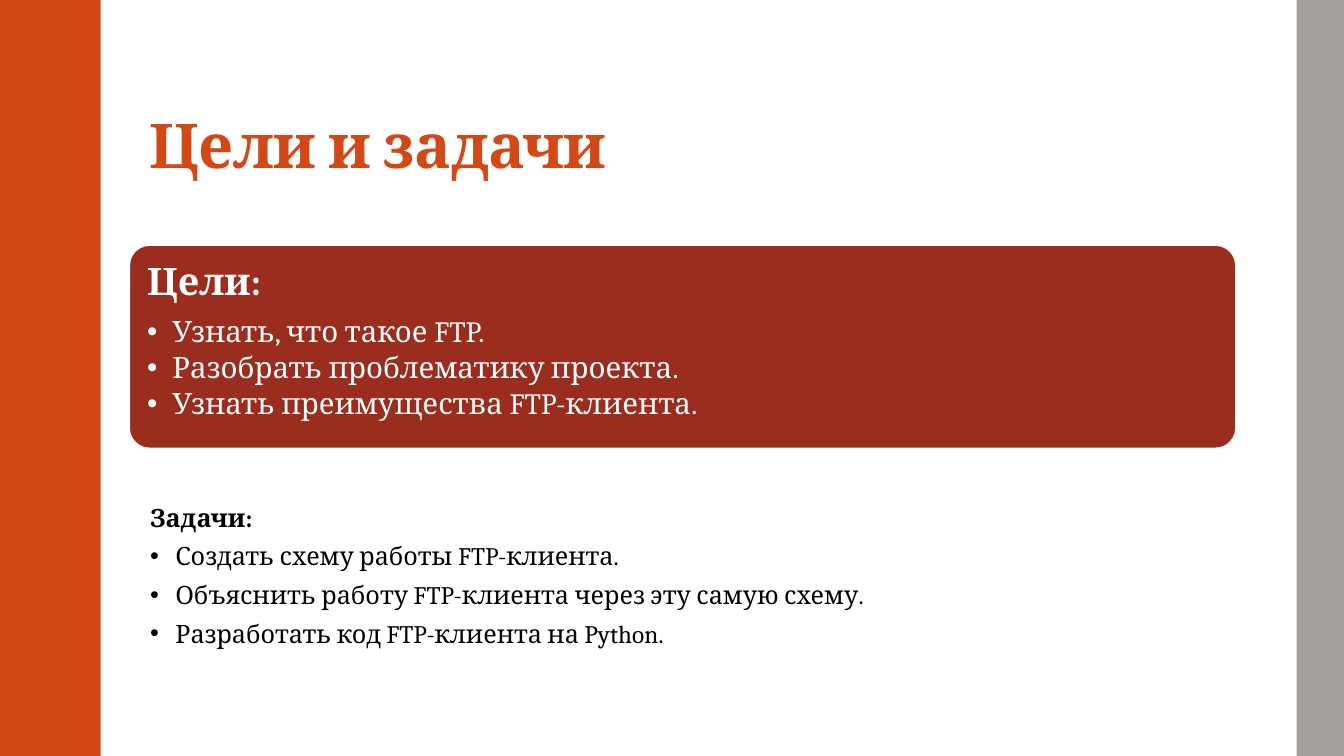
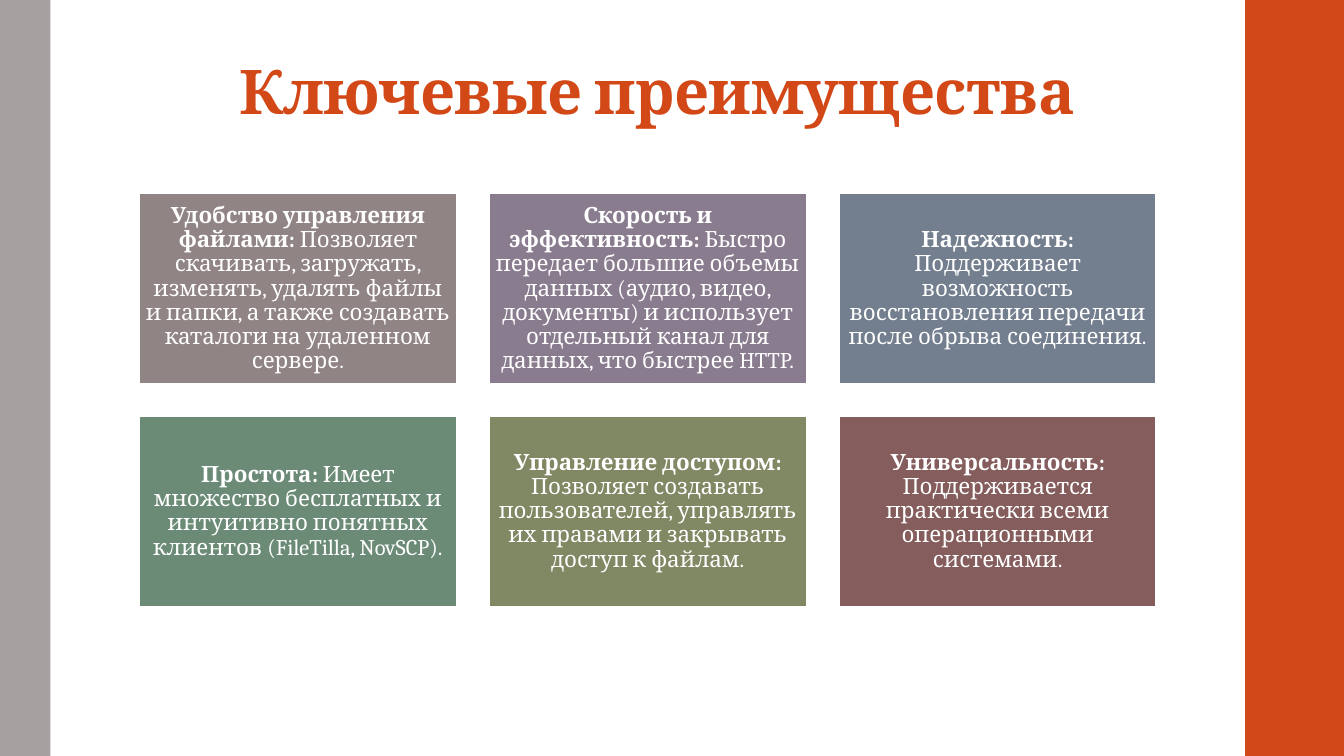
from dataclasses import dataclass

from lxml.etree import SubElement
from pptx import Presentation
from pptx.dml.color import RGBColor
from pptx.enum.shapes import MSO_SHAPE
from pptx.enum.text import MSO_ANCHOR, MSO_AUTO_SIZE, PP_ALIGN
from pptx.oxml.ns import qn
from pptx.util import Inches, Pt


@dataclass(frozen=True)
class Theme:
    """Colours, font and type sizes shared by all slides."""

    font: str = "Cambria"
    accent: str = "D34817"
    side: str = "A6A1A1"
    panel: str = "9B2D1F"
    light: str = "FFFFFF"
    dark: str = "000000"
    cards: tuple = ("918485", "8A7C8F", "737F8E", "6B8B77", "818864", "855D5D")
    title_size: float = 44
    panel_heading_size: float = 27
    panel_size: float = 21
    body_size: float = 18
    card_size: float = 16
    outline: float = 1.35
    tight: float = 0.9


class Deck:
    """Holds the presentation, its theme and the current slide."""

    width, height = 13.33, 7.5

    def __init__(self, theme):
        """Start an empty widescreen presentation."""
        self.theme = theme
        self.presentation = Presentation()
        self.presentation.slide_width = Inches(self.width)
        self.presentation.slide_height = Inches(self.height)
        self.slide = None

    def new_slide(self, accent_left):
        """Add a title-only slide with an accent band on one side and a grey one opposite."""
        self.slide = self.presentation.slides.add_slide(self.presentation.slide_layouts[5])
        for color, band_width, right_position, on_left in (
            (self.theme.accent, 1, 12.35, accent_left),
            (self.theme.side, 0.5, 12.86, not accent_left),
        ):
            left = 0 if on_left else right_position
            self.block(MSO_SHAPE.RECTANGLE, (left, 0, band_width, self.height), color)

    def block(self, kind, box, color, outline=None):
        """Add a filled preset shape, outlined if a colour is given."""
        shape = self.slide.shapes.add_shape(kind, *map(Inches, box))
        shape.shadow.inherit = False
        shape.fill.solid()
        shape.fill.fore_color.rgb = RGBColor.from_string(color)
        if outline:
            shape.line.color.rgb = RGBColor.from_string(outline)
            shape.line.width = Pt(self.theme.outline)
        else:
            shape.line.fill.background()
        return shape

    def frame(self, shape, anchor, margins):
        """Set wrapping, anchor and left, top, right, bottom margins of a shape's text."""
        text_frame = shape.text_frame
        text_frame.word_wrap = True
        text_frame.auto_size = MSO_AUTO_SIZE.NONE
        text_frame.vertical_anchor = anchor
        (text_frame.margin_left, text_frame.margin_top,
         text_frame.margin_right, text_frame.margin_bottom) = map(Inches, margins)
        return text_frame

    def style(self, run, size, color, bold=False):
        """Format one run."""
        run.font.name = self.theme.font
        run.font.size = Pt(size)
        run.font.bold = bold
        run.font.color.rgb = RGBColor.from_string(color)

    def space(self, paragraph, alignment, line_spacing, after):
        """Set alignment and spacing of a paragraph."""
        paragraph.alignment = alignment
        paragraph.line_spacing = line_spacing
        paragraph.space_after = Pt(after)

    def bullet(self, paragraph):
        """Give a paragraph a hanging round bullet."""
        properties = paragraph._p.get_or_add_pPr()
        properties.set("marL", str(Inches(0.25)))
        properties.set("indent", str(-Inches(0.25)))
        SubElement(properties, qn("a:buFont")).set("typeface", "Arial")
        SubElement(properties, qn("a:buChar")).set("char", "•")

    def title(self, text, box, anchor, alignment):
        """Place and format the title placeholder."""
        shape = self.slide.shapes.title
        shape.left, shape.top, shape.width, shape.height = map(Inches, box)
        text_frame = self.frame(shape, anchor, (0.1, 0.03, 0.1, 0.05))
        text_frame.text = text
        paragraph = text_frame.paragraphs[0]
        self.space(paragraph, alignment, self.theme.tight, 6)
        run = paragraph.runs[0]
        self.style(run, self.theme.title_size, self.theme.accent, True)
        run._r.get_or_add_rPr().set("spc", "-50")

    def heading_list(self, text_frame, heading, items, sizes, color, line_spacing, gaps):
        """Write a bold heading and bulleted items; sizes and gaps are for heading and item."""
        text_frame.text = "\n".join((heading, *items))
        for index, paragraph in enumerate(text_frame.paragraphs):
            level = min(index, 1)
            self.space(paragraph, PP_ALIGN.LEFT, line_spacing, gaps[level])
            self.style(paragraph.runs[0], sizes[level], color, level == 0)
            if level:
                self.bullet(paragraph)

    def panel(self, box, heading, items):
        """Add a rounded panel with a heading and a bulleted list."""
        shape = self.block(MSO_SHAPE.ROUNDED_RECTANGLE, box, self.theme.panel, self.theme.light)
        shape.adjustments[0] = 0.1
        text_frame = self.frame(shape, MSO_ANCHOR.TOP, (0.12,) * 4)
        sizes = (self.theme.panel_heading_size, self.theme.panel_size)
        gaps = (0.35 * sizes[0], 0.15 * sizes[1])
        self.heading_list(text_frame, heading, items, sizes, self.theme.light,
                          self.theme.tight, gaps)

    def plain_list(self, box, heading, items):
        """Add a text box with a heading and a bulleted list."""
        shape = self.slide.shapes.add_textbox(*map(Inches, box))
        text_frame = self.frame(shape, MSO_ANCHOR.TOP, (0.1, 0.05, 0.1, 0.05))
        self.heading_list(text_frame, heading, items, (self.theme.body_size,) * 2,
                          self.theme.dark, 1.0, (6, 6))

    def card(self, box, color, heading, body):
        """Add a coloured card with a bold lead-in and centred text."""
        shape = self.block(MSO_SHAPE.RECTANGLE, box, color, self.theme.light)
        text_frame = self.frame(shape, MSO_ANCHOR.MIDDLE, (0.06, 0.07, 0.06, 0.07))
        paragraph = text_frame.paragraphs[0]
        size = self.theme.card_size
        self.space(paragraph, PP_ALIGN.CENTER, self.theme.tight, 0.35 * size)
        for text, bold in ((heading, True), (" " + body, False)):
            run = paragraph.add_run()
            run.text = text
            self.style(run, size, self.theme.light, bold)

    def card_grid(self, cards, columns=3):
        """Lay cards out row by row with equal gaps."""
        left, top, width, height, gap = 1.38, 1.92, 3.15, 1.89, 0.32
        for index, (color, (heading, body)) in enumerate(zip(self.theme.cards, cards)):
            row, column = divmod(index, columns)
            box = (left + column * (width + gap), top + row * (height + gap), width, height)
            self.card(box, color, heading, body)


GOALS = (
    "Узнать, что такое FTP.",
    "Разобрать проблематику проекта.",
    "Узнать преимущества FTP-клиента.",
)
TASKS = (
    "Создать схему работы FTP-клиента.",
    "Объяснить работу FTP-клиента через эту самую схему.",
    "Разработать код FTP-клиента на Python.",
)
ADVANTAGES = (
    ("Удобство управления файлами:",
     "Позволяет скачивать, загружать, изменять, удалять файлы и папки, "
     "а также создавать каталоги на удаленном сервере."),
    ("Скорость и эффективность:",
     "Быстро передает большие объемы данных (аудио, видео, документы) "
     "и использует отдельный канал для данных, что быстрее HTTP."),
    ("Надежность:",
     "Поддерживает возможность восстановления передачи после обрыва соединения."),
    ("Простота:",
     "Имеет множество бесплатных и интуитивно понятных клиентов (FileTilla, NovSCP)."),
    ("Управление доступом:",
     "Позволяет создавать пользователей, управлять их правами и закрывать доступ к файлам."),
    ("Универсальность:",
     "Поддерживается практически всеми операционными системами."),
)


def main():
    """Build both slides and save the presentation."""
    deck = Deck(Theme())

    deck.new_slide(accent_left=True)
    deck.title("Цели и задачи", (1.38, 0.32, 10.78, 1.53), MSO_ANCHOR.BOTTOM, PP_ALIGN.LEFT)
    deck.plain_list((1.39, 4.93, 7.56, 1.57), "Задачи:", TASKS)
    deck.panel((1.28, 2.43, 10.98, 2.02), "Цели:", GOALS)

    deck.new_slide(accent_left=False)
    deck.title("Ключевые преимущества", (1.22, 0.55, 10.6, 0.79),
               MSO_ANCHOR.MIDDLE, PP_ALIGN.CENTER)
    deck.card_grid(ADVANTAGES)

    deck.presentation.save("out.pptx")


if __name__ == "__main__":
    main()
